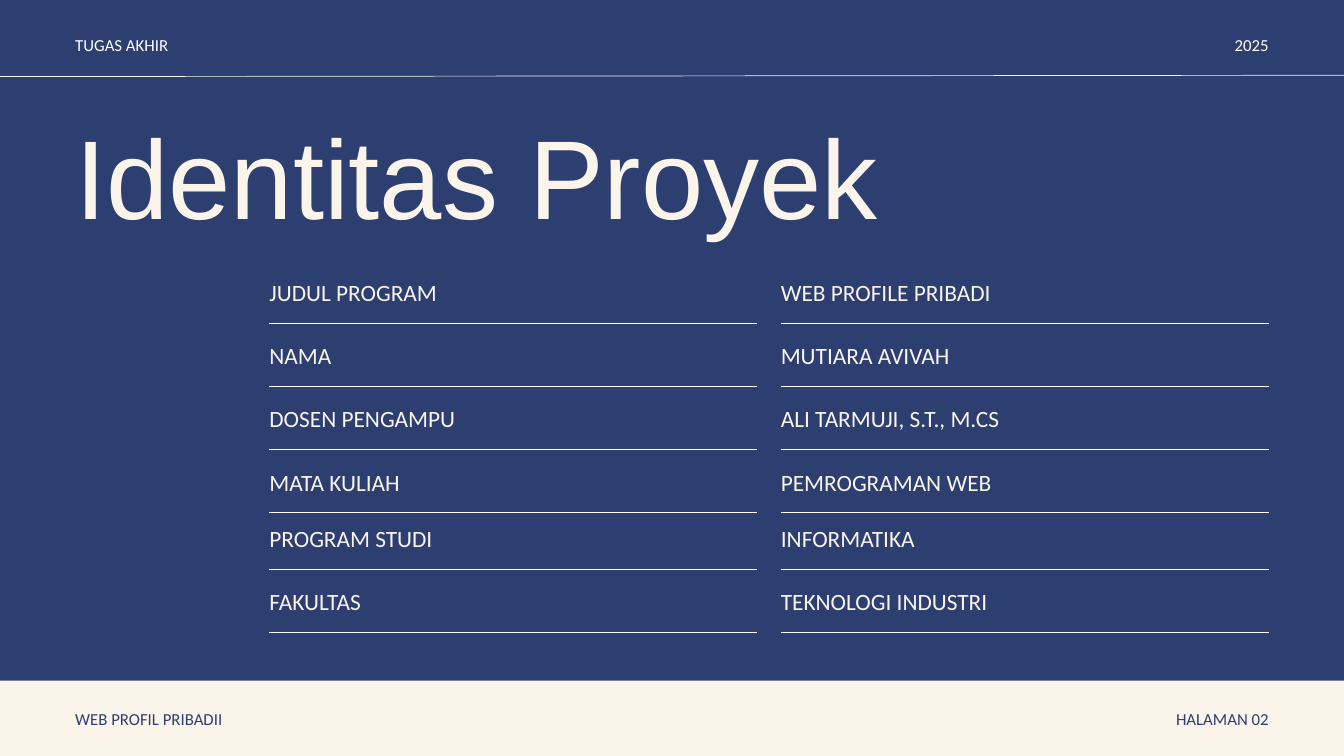
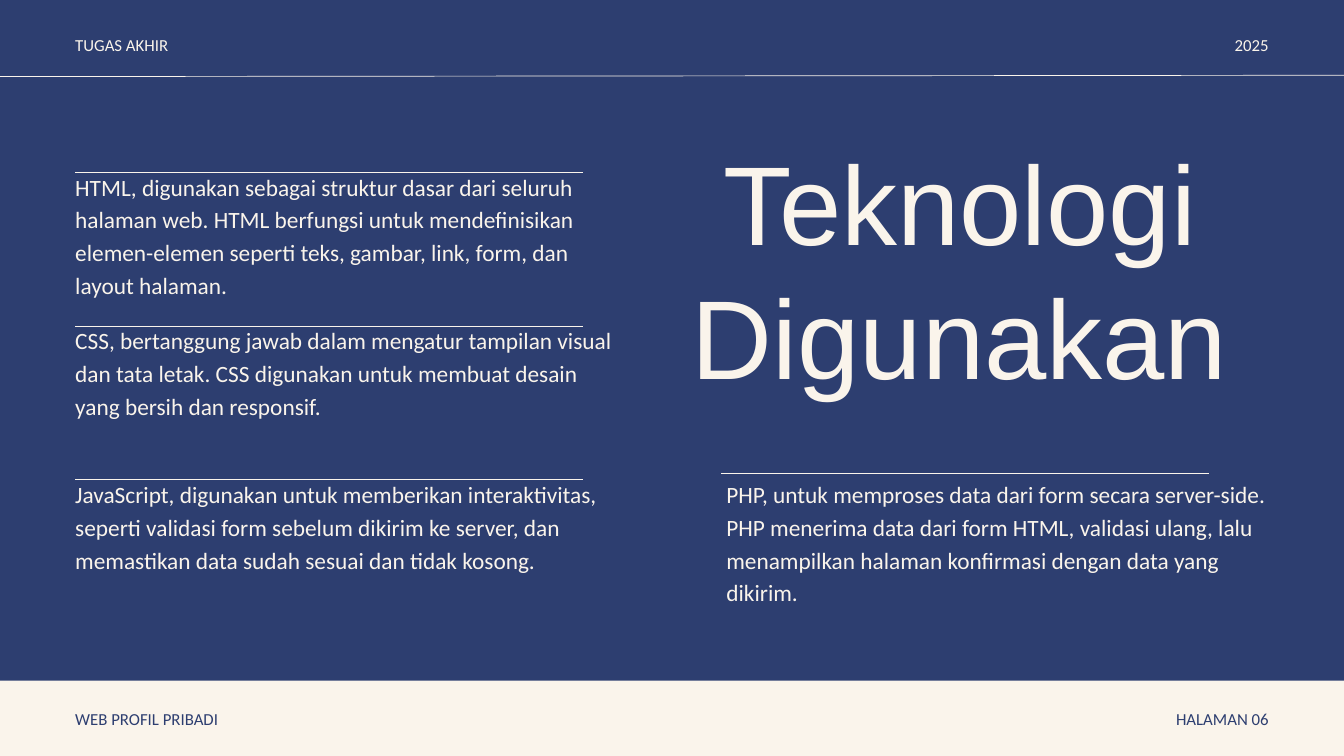
"""Builds two pages of a final project deck: project identity and technologies used."""
from lxml import etree
from pptx import Presentation
from pptx import util as u
from pptx.dml import color
from pptx.enum import shapes, text
from pptx.oxml import ns

NAVY, CREAM, WHITE = "2D3E70", "FAF4EB", "FFFFFF"
WIDTH, HEIGHT = 20, 11.25
MARGIN, BAND = 1.12, 1.12
LEFT, CENTER, RIGHT = text.PP_ALIGN.LEFT, text.PP_ALIGN.CENTER, text.PP_ALIGN.RIGHT

IDENTITY = [
    ("JUDUL PROGRAM", "WEB PROFILE PRIBADI"),
    ("NAMA", "MUTIARA AVIVAH"),
    ("DOSEN PENGAMPU", "ALI TARMUJI, S.T., M.CS"),
    ("MATA KULIAH", "PEMROGRAMAN WEB"),
    ("PROGRAM STUDI", "INFORMATIKA"),
    ("FAKULTAS", "TEKNOLOGI INDUSTRI"),
]
FRONT_END = [
    "HTML, digunakan sebagai struktur dasar dari seluruh halaman web. HTML berfungsi untuk "
    "mendefinisikan elemen-elemen seperti teks, gambar, link, form, dan layout halaman.",
    "CSS, bertanggung jawab dalam mengatur tampilan visual dan tata letak. CSS digunakan untuk "
    "membuat desain yang bersih dan responsif.",
    "JavaScript, digunakan untuk memberikan interaktivitas, seperti validasi form sebelum dikirim "
    "ke server, dan memastikan data sudah sesuai dan tidak kosong.",
]
BACK_END = (
    "PHP, untuk memproses data dari form secara server-side. PHP menerima data dari form HTML, "
    "validasi ulang, lalu menampilkan halaman konfirmasi dengan data yang dikirim."
)


def paint(target, hex_code):
    """Give a fill a solid colour."""
    target.solid()
    target.fore_color.rgb = color.RGBColor.from_string(hex_code)


def write(box, words, size, spacing, hex_code=CREAM, font="Calibri", align=LEFT):
    """Write one paragraph into a box without insets."""
    frame = box.text_frame
    frame.margin_left = frame.margin_top = frame.margin_right = frame.margin_bottom = 0
    frame.vertical_anchor = text.MSO_ANCHOR.TOP
    frame.word_wrap = True
    frame.auto_size = text.MSO_AUTO_SIZE.SHAPE_TO_FIT_TEXT
    para = frame.paragraphs[0]
    para.alignment = align
    para.line_spacing = u.Pt(spacing)
    span = para.add_run()
    span.text = words
    span.font.size = u.Pt(size)
    span.font.name = font
    span.font.color.rgb = color.RGBColor.from_string(hex_code)


def add_text(page, left, top, width, height, words, size=25, spacing=35, **style):
    """Add a text box at the given place."""
    box = page.shapes.add_textbox(*map(u.Inches, (left, top, width, height)))
    write(box, words, size, spacing, **style)


def add_rule(page, left, top, right, bottom, hex_code=CREAM):
    """Draw a thin straight line."""
    rule = page.shapes.add_connector(
        shapes.MSO_CONNECTOR.STRAIGHT, *map(u.Inches, (left, top, right, bottom)))
    rule.line.width = u.Pt(0.75)
    paint(rule.line.fill, hex_code)
    etree.SubElement(rule._element.spPr, ns.qn("a:effectLst"))


def add_title(page, left, top, width, height, words, spacing, align=LEFT):
    """Place and fill the title placeholder."""
    title = page.shapes.title
    title.left, title.top, title.width, title.height = map(u.Inches, (left, top, width, height))
    write(title, words, 120, spacing, font="Arial", align=align)


def add_labels(page, top, first, last, hex_code):
    """Put a pair of small labels at the left and right margins."""
    width = 5.13
    for left, words, align in ((MARGIN, first, LEFT), (WIDTH - MARGIN - width, last, RIGHT)):
        add_text(page, left, top, width, 0.34, words, 18, 25.2, hex_code=hex_code, align=align)


def add_page(deck, project, number, header_color):
    """Start a page with its header, rule and footer band."""
    page = deck.slides.add_slide(deck.slide_layouts.get_by_name("Title Only"))
    add_rule(page, 0, 1.14, WIDTH, 1.12)
    band = page.shapes.add_shape(
        shapes.MSO_SHAPE.RECTANGLE, *map(u.Inches, (0, HEIGHT - BAND, WIDTH, BAND)))
    band.shadow.inherit = False
    paint(band.fill, CREAM)
    band.line.fill.background()
    add_labels(page, 0.47, "TUGAS AKHIR", "2025", header_color)
    add_labels(page, 10.5, project, f"HALAMAN {number:02}", NAVY)
    return page


def add_identity(page, left, top, width):
    """List label and value pairs in two ruled columns."""
    gap, pitch, lift = 0.35, 0.94, 0.1
    column = (width - gap) / 2
    for row, pair in enumerate(IDENTITY):
        row_top = top + row * pitch - (lift if row > 3 else 0)
        for index, words in enumerate(pair):
            start = left + index * (column + gap)
            add_text(page, start, row_top, column, 0.47, words)
            add_rule(page, start, row_top + 0.74, start + column, row_top + 0.74, WHITE)


def add_description(page, left, top, words, rule=(0, 0.06, 7.55)):
    """Add a technology paragraph with a rule given by offset and length."""
    shift, drop, length = rule
    add_text(page, left, top, 8.07, 1.91, words)
    add_rule(page, left + shift, top + drop, left + shift + length, top + drop)


def build_identity_page(deck):
    """Build the project identity page."""
    page = add_page(deck, "WEB PROFIL PRIBADII", 2, WHITE)
    add_title(page, MARGIN, 1.27, 12.21, 2.38, "Identitas Proyek", 168)
    add_identity(page, 4.01, 4.07, 14.87)


def build_technology_page(deck):
    """Build the page of technologies used."""
    page = add_page(deck, "WEB PROFIL PRIBADI", 6, CREAM)
    add_title(page, 9.44, 1.98, 9.68, 4.12, "Teknologi Digunakan", 144, CENTER)
    for row, words in enumerate(FRONT_END):
        add_description(page, MARGIN, 2.5 + row * 2.29, words)
    add_description(page, 10.81, 7.08, BACK_END, (-0.08, -0.03, 7.26))


def main():
    """Build and save the deck."""
    deck = Presentation()
    deck.slide_width, deck.slide_height = u.Inches(WIDTH), u.Inches(HEIGHT)
    paint(deck.slide_master.background.fill, NAVY)
    build_identity_page(deck)
    build_technology_page(deck)
    deck.save("out.pptx")


if __name__ == "__main__":
    main()
